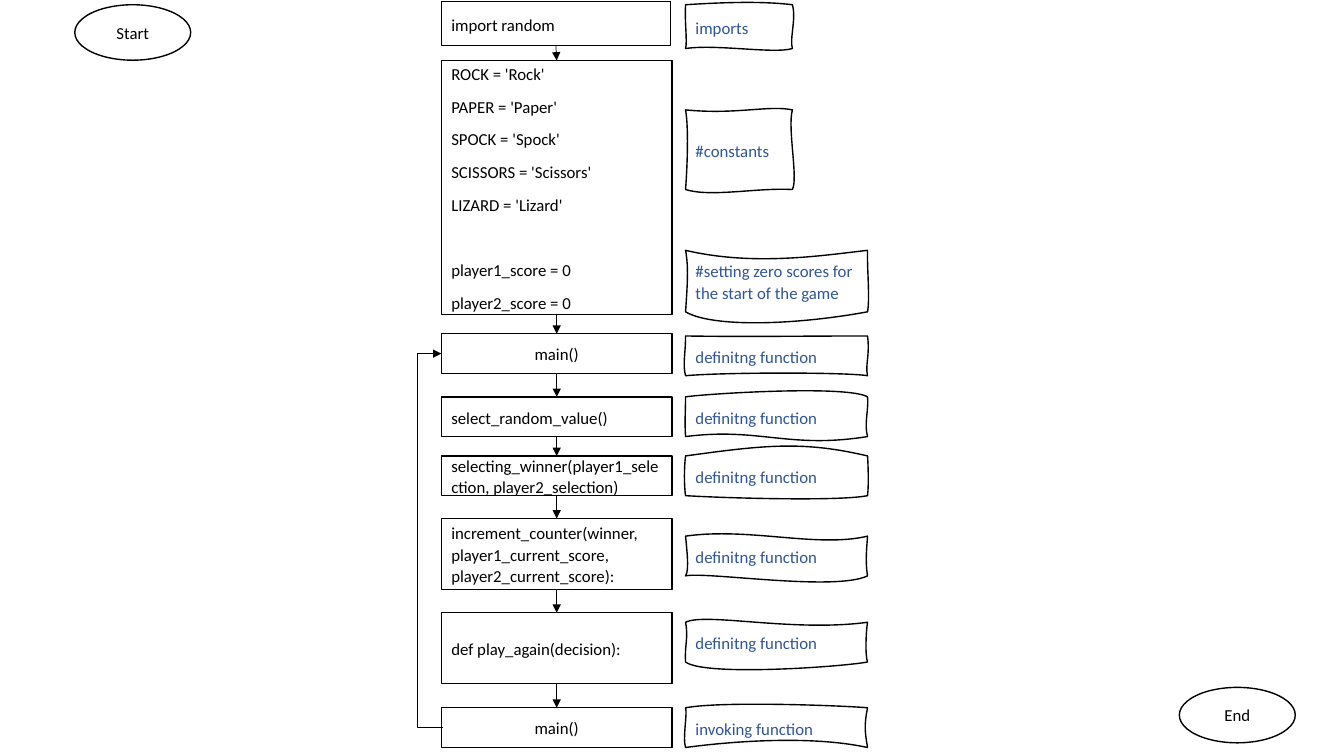
from dataclasses import dataclass

import pptx
import pptx.dml.color
import pptx.enum.shapes
import pptx.enum.text
import pptx.oxml
import pptx.oxml.ns
import pptx.util

Pt = pptx.util.Pt
MSO_SHAPE = pptx.enum.shapes.MSO_SHAPE
MSO_CONNECTOR = pptx.enum.shapes.MSO_CONNECTOR
PP_ALIGN = pptx.enum.text.PP_ALIGN
Point = tuple[float, float]

BLACK, WHITE, BLUE = "000000", "FFFFFF", "2F5597"
STEP_LEFT, STEP_W = 315.3, 164.7
NOTE_LEFT, NOTE_W, NOTE_H = 489.7, 130, 28.4
LOOP_LEFT = 298.1
UNITS_PER_PT = 100
BOTTOM, TOP = 2, 0
A_NS = pptx.oxml.ns.nsdecls("a")


@dataclass
class Step:
    lines: list[str]
    top: float
    height: float = 28.4
    width: float = STEP_W
    centred: bool = False
    gap_after: int | None = None


@dataclass
class Note:
    """Wavy box: two bend points for each side, clockwise from the top, relative to its corner."""
    text: str
    top: float
    bends: list[Point]
    width: float = NOTE_W
    height: float = NOTE_H


@dataclass
class Terminal:
    text: str
    left: float
    top: float


STEPS = [
    Step(["import random"], 1.3, 31.4, width=163.5),
    Step(["ROCK = 'Rock'", "PAPER = 'Paper'", "SPOCK = 'Spock'", "SCISSORS = 'Scissors'",
          "LIZARD = 'Lizard'", "player1_score = 0", "player2_score = 0"],
         43.2, 181.5, gap_after=4),
    Step(["main()"], 238.4, centred=True),
    Step(["select_random_value()"], 283.5),
    Step(["selecting_winner(player1_selection, player2_selection)"], 325.7),
    Step(["increment_counter(winner, player1_current_score, player2_current_score):"],
         370.3, 50.6),
    Step(["def play_again(decision):"], 437.7, 50.6),
    Step(["main()"], 505.6, centred=True),
]
DEFINING = "definitng function"
NOTES = [
    Note("imports", 3.4, [(22.3, -1.4), (52.6, -2.9), (79.2, 10), (74.2, 24.5),
                          (63.4, 35.3), (21.6, 28), (1.4, 25.9), (-0.7, 13.7)], 76.3, 31.3),
    Note("#constants", 78.5, [(36, 3.6), (59.8, -3.6), (72.7, 13), (80.6, 49),
                              (51.8, 55.4), (18, 62.6), (1.4, 38.2), (2.2, 12.2)], 76.3, 56.9),
    Note("#setting zero scores for the start of the game", 178.8,
         [(49, 11.5), (98, 3.6), (129.6, 13), (131.8, 33.8),
          (79.2, 53.3), (19.4, 55.4), (1.4, 23.8), (2.2, 11.5)], height=43.9),
    Note(DEFINING, 240, [(46, 0.7), (82.8, 0), (131.8, 14.4), (128.2, 20.2),
                         (115.2, 25.9), (28.1, 25.9), (-2.2, 20.2), (0, 13)]),
    Note(DEFINING, 283.5, [(14.4, -2.2), (115.2, -8.6), (131, 8.6), (127.4, 19.4),
                           (73.4, 37.4), (52.6, 21.6), (-0.7, 18.7), (0, 7.9)]),
    Note(DEFINING, 325.7, [(56.9, -7.9), (84.2, -10.8), (130.3, 3.6), (131, 20.2),
                           (110.2, 32.4), (30.2, 30.2), (-0.7, 24.5), (-1.4, 11.5)]),
    Note(DEFINING, 383, [(45.4, -6.5), (94.3, 8.6), (129.6, 7.2), (128.2, 17.3),
                         (106.6, 39.6), (15.1, 25.2), (2.9, 24.5), (0.7, 7.9)]),
    Note(DEFINING, 444.5, [(14.4, -7.2), (77, 7.2), (128.9, 6.5), (128.2, 23.8),
                           (113, 31.7), (13.7, 38.9), (-0.7, 15.1), (2.2, 11.5)]),
    Note("invoking function", 505.6, [(26.6, -5), (115.2, -1.4), (127.4, 13), (128.2, 17.3),
                                      (85.7, 18.7), (23, 25.2), (-2.2, 21.6), (1.4, 4.3)]),
]
TERMINALS = [Terminal("Start", 53.4, 3.4), Terminal("End", 842.4, 491)]


def rgb(value: str) -> pptx.dml.color.RGBColor:
    return pptx.dml.color.RGBColor.from_string(value)


def style_shape(sp, fill: str | None = None) -> None:
    sp.shadow.inherit = False
    if fill:
        sp.fill.solid()
        sp.fill.fore_color.rgb = rgb(fill)
    else:
        sp.fill.background()
    sp.line.color.rgb = rgb(BLACK)
    sp.line.width = Pt(1)


def write_text(sp, lines: list[str], colour: str, centred: bool = False) -> None:
    tf = sp.text_frame
    tf.word_wrap = True
    tf.vertical_anchor = pptx.enum.text.MSO_ANCHOR.MIDDLE
    tf.text = "\n".join(lines)
    for p in tf.paragraphs:
        p.alignment = PP_ALIGN.CENTER if centred else PP_ALIGN.LEFT
        if not centred:
            p.line_spacing = 1.07
            p.space_after = Pt(8)
        for r in p.runs:
            r.font.name = "Calibri"
            r.font.size = Pt(12)
            r.font.color.rgb = rgb(colour)


def add_step(s, step: Step):
    sp = s.shapes.add_shape(MSO_SHAPE.RECTANGLE, Pt(STEP_LEFT), Pt(step.top),
                            Pt(step.width), Pt(step.height))
    style_shape(sp)
    write_text(sp, step.lines, BLACK, step.centred)
    if step.gap_after is not None:
        sp.text_frame.paragraphs[step.gap_after].space_after = Pt(31.4)
    return sp


def bend_sides(sp, bends: list[Point]) -> None:
    """Turn each straight side of a freeform into a curve with two bend points."""
    sides = list(sp._element.iter(pptx.oxml.ns.qn("a:lnTo")))
    for side, first, second in zip(sides, bends[::2], bends[1::2]):
        points = "".join(f'<a:pt x="{round(x * UNITS_PER_PT)}" y="{round(y * UNITS_PER_PT)}"/>'
                         for x, y in (first, second))
        curve = pptx.oxml.parse_xml(f"<a:cubicBezTo {A_NS}>{points}</a:cubicBezTo>")
        curve.append(side[0])
        side.getparent().replace(side, curve)


def add_note(s, note: Note) -> None:
    left, top, right, bottom = (v * UNITS_PER_PT for v in (
        NOTE_LEFT, note.top, NOTE_LEFT + note.width, note.top + note.height))
    fb = s.shapes.build_freeform(left, top, scale=Pt(1) / UNITS_PER_PT)
    fb.add_line_segments([(right, top), (right, bottom), (left, bottom), (left, top)], close=True)
    sp = fb.convert_to_shape()
    bend_sides(sp, note.bends)
    style_shape(sp)
    write_text(sp, [note.text], BLUE)


def add_terminal(s, terminal: Terminal) -> None:
    sp = s.shapes.add_shape(MSO_SHAPE.OVAL, Pt(terminal.left), Pt(terminal.top),
                            Pt(82.8), Pt(39.6))
    style_shape(sp, WHITE)
    write_text(sp, [terminal.text], BLACK, centred=True)


def add_arrow(s, kind, start: Point, end: Point):
    cxn = s.shapes.add_connector(kind, *map(Pt, start + end))
    cxn.line.color.rgb = rgb(BLACK)
    cxn.line.width = Pt(0.5)
    sp_pr = cxn._element.spPr
    sp_pr.find(pptx.oxml.ns.qn("a:ln")).append(
        pptx.oxml.parse_xml(f'<a:tailEnd {A_NS} type="triangle"/>'))
    sp_pr.append(pptx.oxml.parse_xml(f"<a:effectLst {A_NS}/>"))
    return cxn


def add_loop(s, first: Step, last: Step) -> None:
    """Elbow arrow from the left side of the last step back up to the first."""
    top, bottom = (step.top + step.height / 2 for step in (first, last))
    cxn = add_arrow(s, MSO_CONNECTOR.ELBOW, (STEP_LEFT, top), (STEP_LEFT + 1, bottom))
    sp_pr = cxn._element.spPr
    sp_pr.find(pptx.oxml.ns.qn("a:xfrm")).set("rot", "10800000")
    reach = round((STEP_LEFT + 1 - LOOP_LEFT) * 100000)
    sp_pr.find(".//" + pptx.oxml.ns.qn("a:avLst")).append(
        pptx.oxml.parse_xml(f'<a:gd {A_NS} name="adj1" fmla="val {reach}"/>'))


def main() -> None:
    prs = pptx.Presentation()
    prs.slide_width, prs.slide_height = Pt(960), Pt(540)
    s = prs.slides.add_slide(prs.slide_layouts[6])
    boxes = [add_step(s, step) for step in STEPS]
    for upper, lower in zip(boxes, boxes[1:]):
        cxn = add_arrow(s, MSO_CONNECTOR.STRAIGHT, (0, 0), (0, 0))
        cxn.begin_connect(upper, BOTTOM)
        cxn.end_connect(lower, TOP)
    add_loop(s, STEPS[2], STEPS[-1])
    for note in NOTES:
        add_note(s, note)
    for terminal in TERMINALS:
        add_terminal(s, terminal)
    prs.save("out.pptx")


if __name__ == "__main__":
    main()
